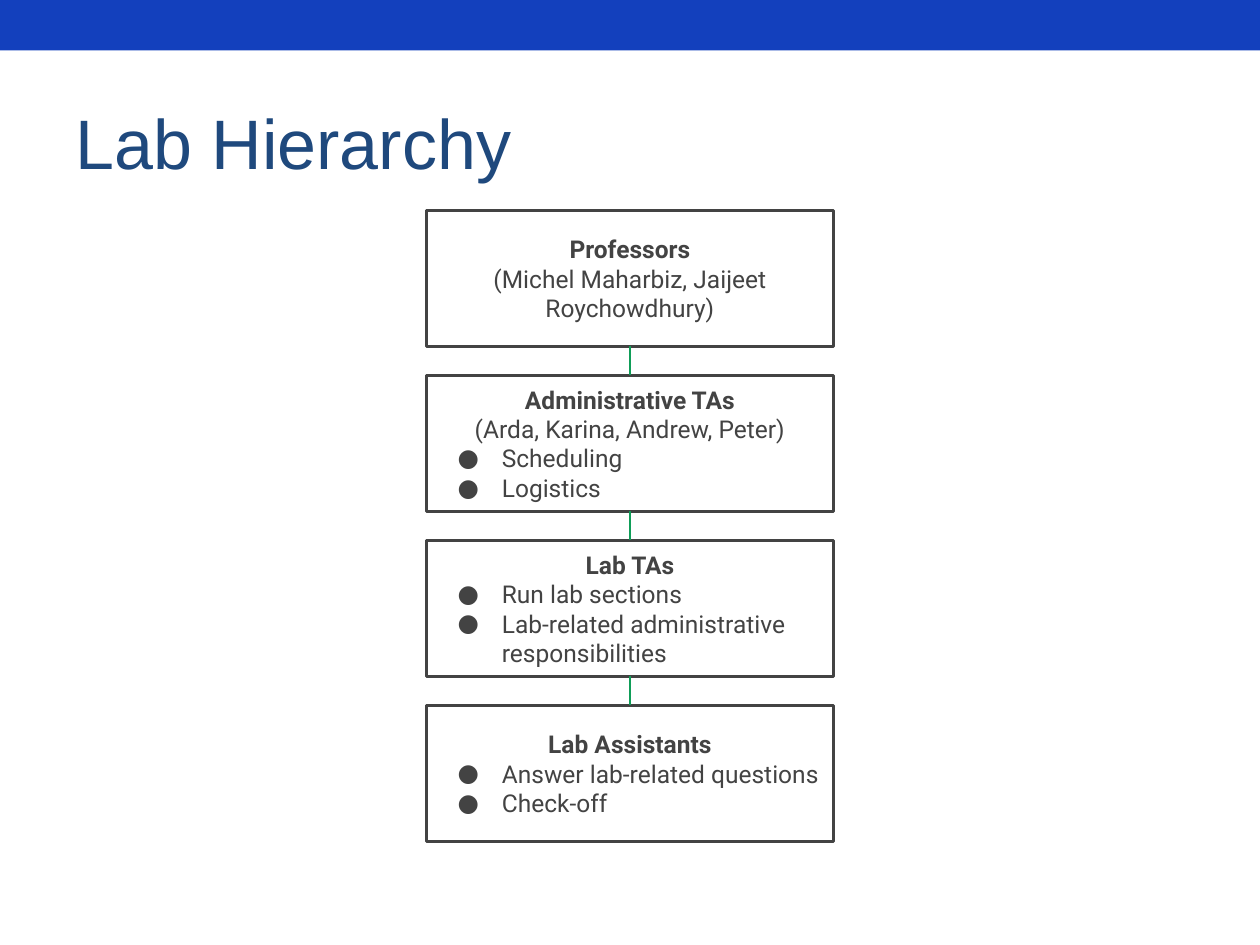
import pptx
import pptx.dml.color
import pptx.enum.shapes
import pptx.enum.text
import pptx.oxml
import pptx.util
from lxml import etree

Pt = pptx.util.Pt
ALIGN = pptx.enum.text.PP_ALIGN
RECTANGLE = pptx.enum.shapes.MSO_SHAPE.RECTANGLE
ELBOW = pptx.enum.shapes.MSO_CONNECTOR.ELBOW
A = "{http://schemas.openxmlformats.org/drawingml/2006/main}"

SLIDE_WIDTH, SLIDE_HEIGHT = 720, 540
BOX_WIDTH, BOX_HEIGHT = 232.6, 77.8
FIRST_TOP, PITCH = 120.2, 94.3
BOTTOM_SITE, TOP_SITE = 2, 0
GREY = "434343"

FRAME_FORMAT = {
    "word_wrap": True,
    "auto_size": pptx.enum.text.MSO_AUTO_SIZE.NONE,
    "vertical_anchor": pptx.enum.text.MSO_ANCHOR.MIDDLE,
    "margin_left": Pt(7.2), "margin_right": Pt(7.2),
    "margin_top": Pt(7.2), "margin_bottom": Pt(7.2),
}

# Role, people holding it, duties
LEVELS = [
    ("Professors", "(Michel Maharbiz, Jaijeet Roychowdhury)", []),
    ("Administrative TAs", "(Arda, Karina, Andrew, Peter)", ["Scheduling", "Logistics"]),
    ("Lab TAs", None, ["Run lab sections", "Lab-related administrative responsibilities"]),
    ("Lab Assistants", None, ["Answer lab-related questions", "Check-off"]),
]


def rgb(value):
    return pptx.dml.color.RGBColor.from_string(value)


def apply(target, formats):
    """Set every attribute named in formats on target."""
    for name, value in formats.items():
        setattr(target, name, value)


deck = pptx.Presentation()
apply(deck, {"slide_width": Pt(SLIDE_WIDTH), "slide_height": Pt(SLIDE_HEIGHT)})
slide = deck.slides.add_slide(deck.slide_layouts[5])

banner = slide.shapes.add_shape(RECTANGLE, 0, 0, Pt(SLIDE_WIDTH), Pt(28.8))
banner.shadow.inherit = False
banner.fill.solid()
banner.fill.fore_color.rgb = rgb("1340BD")
banner.line.fill.background()

heading = slide.shapes.title
apply(heading, {"left": Pt(36), "top": Pt(41.8), "width": Pt(648), "height": Pt(77.8)})
heading.text_frame.text = "Lab Hierarchy"
apply(heading.text_frame, FRAME_FORMAT)
heading_line = heading.text_frame.paragraphs[0]
heading_line.alignment = ALIGN.LEFT
apply(heading_line.runs[0].font, {"name": "Arial", "size": Pt(40)})
heading_line.runs[0].font.color.rgb = rgb("1F497D")

levels = []
for index, (role, people, duties) in enumerate(LEVELS):
    level = slide.shapes.add_shape(
        RECTANGLE, Pt((SLIDE_WIDTH - BOX_WIDTH) / 2), Pt(FIRST_TOP + index * PITCH),
        Pt(BOX_WIDTH), Pt(BOX_HEIGHT))
    level.shadow.inherit = False
    level.fill.background()
    level.line.color.rgb = rgb(GREY)
    level.line.width = Pt(1.5)
    apply(level.text_frame, FRAME_FORMAT)
    levels.append(level)

    wording = [role] + ([people] if people else []) + duties
    level.text_frame.text = "\n".join(wording)
    for text, paragraph in zip(wording, level.text_frame.paragraphs):
        paragraph.alignment = ALIGN.LEFT if text in duties else ALIGN.CENTER
        font = paragraph.runs[0].font
        apply(font, {"name": "Roboto", "size": Pt(14), "bold": text == role})
        font.color.rgb = rgb(GREY)
        if text in duties:
            properties = paragraph._p.get_or_add_pPr()
            properties.set("marL", str(Pt(36)))
            properties.set("indent", str(-Pt(25.2)))
            bullet_color = etree.SubElement(properties, A + "buClr")
            etree.SubElement(bullet_color, A + "srgbClr", val=GREY)
            etree.SubElement(properties, A + "buFont", typeface="Roboto")
            etree.SubElement(properties, A + "buChar", char="●")

for upper, lower in zip(levels, levels[1:]):
    link = slide.shapes.add_connector(ELBOW, 0, 0, 0, 0)
    link.begin_connect(upper, BOTTOM_SITE)
    link.end_connect(lower, TOP_SITE)
    link.line.color.rgb = rgb("0F9D58")
    link.line.width = Pt(1.5)
    etree.SubElement(link._element.spPr, A + "effectLst")

deck.save("out.pptx")
